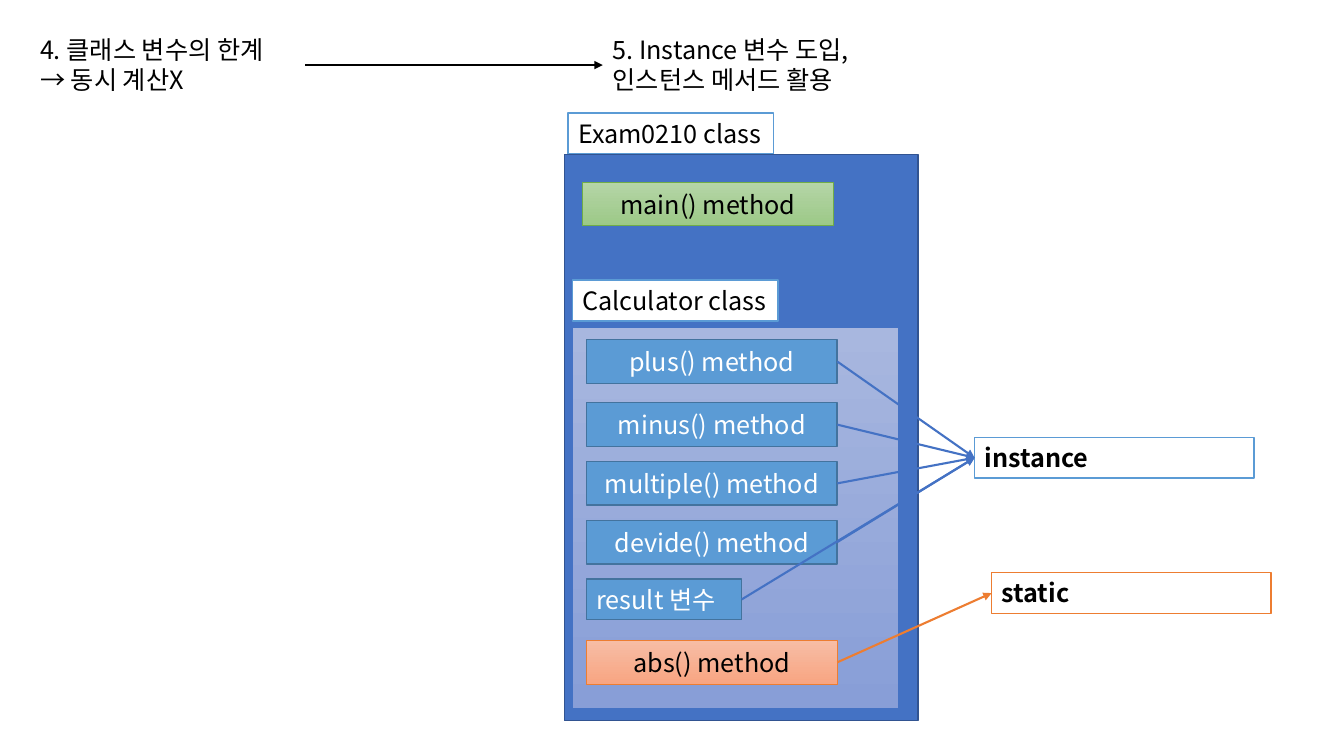
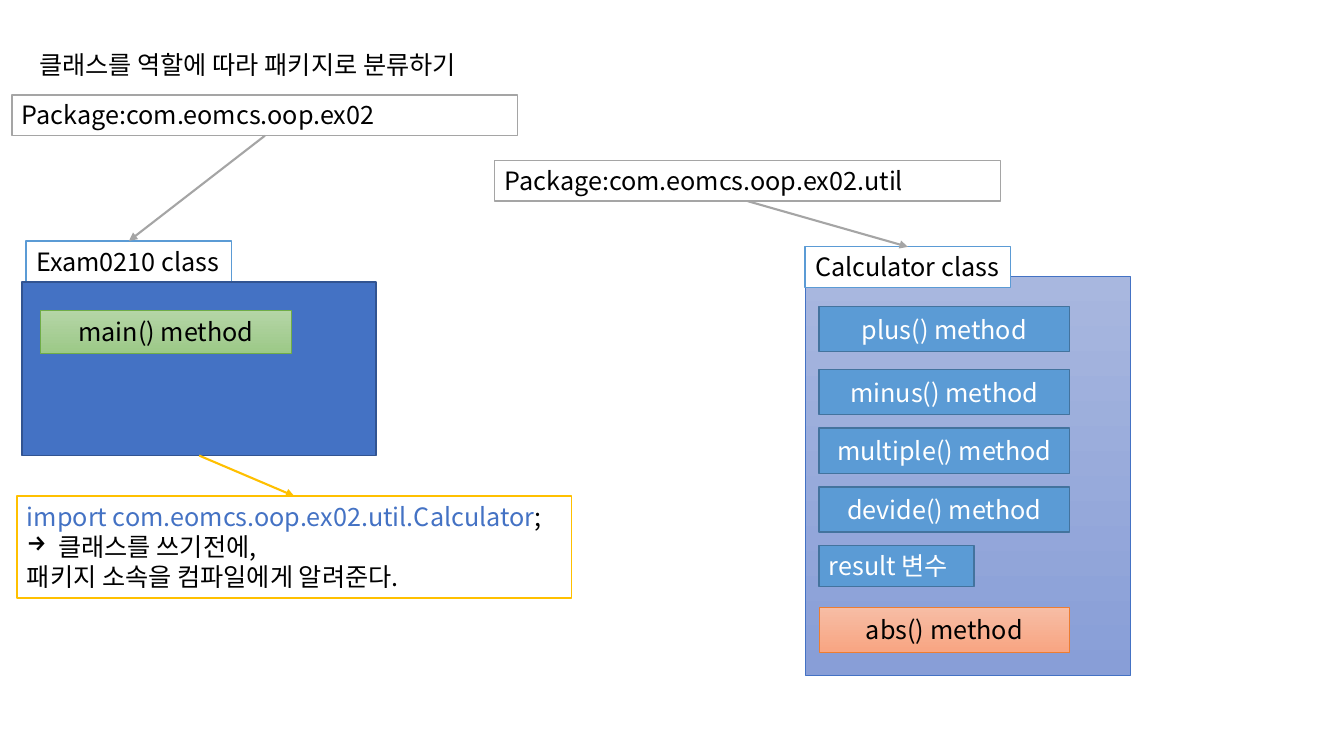
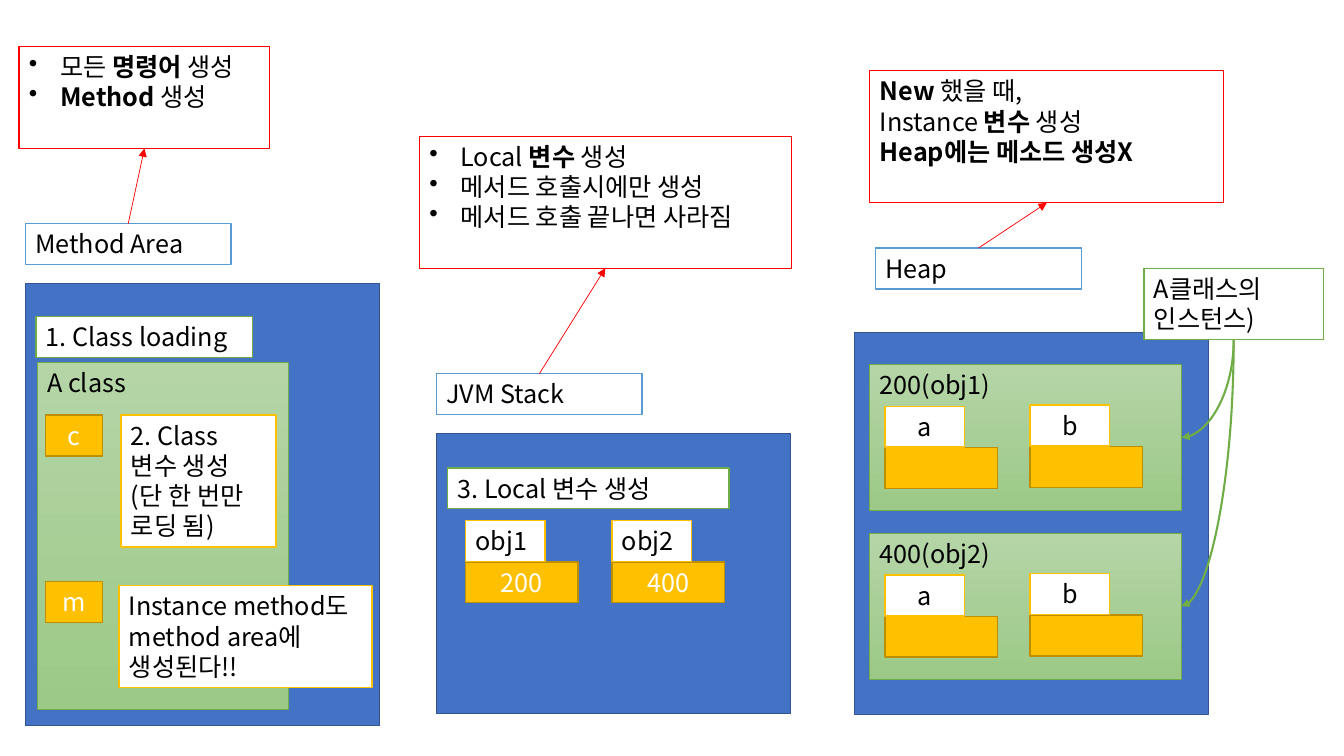
from dataclasses import dataclass, replace
from typing import Optional, Union

from lxml.etree import SubElement
from pptx import Presentation
from pptx.dml.color import RGBColor
from pptx.enum.shapes import MSO_CONNECTOR, MSO_SHAPE
from pptx.enum.text import MSO_ANCHOR, PP_ALIGN
from pptx.oxml.ns import qn
from pptx.shapes.autoshape import Shape
from pptx.shapes.connector import Connector
from pptx.slide import Slide
from pptx.util import Cm, Pt

TOP, LEFT, BOTTOM, RIGHT = range(4)


@dataclass(frozen=True)
class Theme:
    font: str = "Noto Sans CJK KR"
    size: float = 18
    black: str = "000000"
    white: str = "FFFFFF"
    blue: str = "4472C4"
    navy: str = "325491"
    sky: str = "5B9BD5"
    steel: str = "43739E"
    green: str = "70AD47"
    orange: str = "ED7D31"
    gold: str = "FFC000"
    bronze: str = "BD8E00"
    gray: str = "A5A5A5"
    red: str = "FF0000"
    blue_fade: tuple[str, str] = ("A8B7DF", "889ED7")
    green_fade: tuple[str, str] = ("B5D5A7", "9CC987")
    orange_fade: tuple[str, str] = ("F7BDA5", "F8A582")


THEME = Theme()


@dataclass(frozen=True)
class Style:
    fill: Union[str, tuple[str, str], None] = None
    line: Optional[str] = None
    line_width: float = 1
    color: str = THEME.black
    bold: bool = False
    centered: bool = False
    middle: bool = False


@dataclass(frozen=True)
class Box:
    """Left, top, width and height in centimetres."""
    left: float
    top: float
    width: float
    height: float = 1.03


@dataclass(frozen=True)
class Span:
    text: str
    bold: bool = False
    color: Optional[str] = None


@dataclass(frozen=True)
class Line:
    spans: tuple[Span, ...]
    bullet: str = ""


@dataclass(frozen=True)
class Region:
    """A memory area with its label and the note the label points to."""
    body: Box
    label: Box
    name: str
    note: Box
    lines: tuple[Line, ...]


PLAIN = Style()
CLASS_BODY = Style(THEME.blue, THEME.navy)
SKY_TAB = Style(THEME.white, THEME.sky)
GREEN_TAB = replace(SKY_TAB, line=THEME.green)
GOLD_TAB = replace(SKY_TAB, line=THEME.gold)
GRAY_TAB = replace(SKY_TAB, line=THEME.gray)
ORANGE_TAB = replace(SKY_TAB, line=THEME.orange)
RED_NOTE = Style(None, THEME.red, 0.75)
BLUE_PANEL = Style(THEME.blue_fade, THEME.blue, 0.5)
GREEN_PANEL = Style(THEME.green_fade, THEME.green, 0.5)
FIELD = Style(THEME.sky, THEME.steel, color=THEME.white)
METHOD = replace(FIELD, centered=True, middle=True)
MAIN_METHOD = replace(GREEN_PANEL, centered=True, middle=True)
STATIC_METHOD = Style(THEME.orange_fade, THEME.orange, 0.5, centered=True, middle=True)
GOLD_CELL = Style(THEME.gold, THEME.bronze, color=THEME.white, centered=True)

TAB_WIDTH = 5.18
METHOD_WIDTH = 6.32
CLASS_WIDTH = 8.92
INSTANCE_METHODS = (("plus() method", 0), ("minus() method", 1.59),
                    ("multiple() method", 3.07), ("devide() method", 4.55))


def plain_lines(*texts: str) -> tuple[Line, ...]:
    return tuple(Line((Span(text),)) for text in texts)


def write(shape: Shape, lines: tuple[Line, ...], style: Style) -> None:
    frame = shape.text_frame
    frame.word_wrap = True
    frame.vertical_anchor = MSO_ANCHOR.MIDDLE if style.middle else MSO_ANCHOR.TOP
    for index, line in enumerate(lines):
        paragraph = frame.add_paragraph() if index else frame.paragraphs[0]
        paragraph.alignment = PP_ALIGN.CENTER if style.centered else PP_ALIGN.LEFT
        if line.bullet:
            properties = paragraph._p.get_or_add_pPr()
            properties.set("marL", str(Cm(0.79)))
            properties.set("indent", str(-Cm(0.79)))
            SubElement(properties, qn("a:buChar"), char=line.bullet)
        font = paragraph.font
        font.name = THEME.font
        SubElement(font._element, qn("a:ea"), typeface=THEME.font)
        font.size = Pt(THEME.size)
        font.bold = style.bold
        font.color.rgb = RGBColor.from_string(style.color)
        for span in line.spans:
            run = paragraph.add_run()
            run.text = span.text
            if span.bold:
                run.font.bold = True
            if span.color:
                run.font.color.rgb = RGBColor.from_string(span.color)


def paint(shape: Shape, style: Style) -> None:
    shape.shadow.inherit = False
    if isinstance(style.fill, tuple):
        shape.fill.gradient()
        shape.fill.gradient_angle = 270
        for stop, color in zip(shape.fill.gradient_stops, style.fill):
            stop.color.rgb = RGBColor.from_string(color)
    elif style.fill:
        shape.fill.solid()
        shape.fill.fore_color.rgb = RGBColor.from_string(style.fill)
    else:
        shape.fill.background()
    shape.line.color.rgb = RGBColor.from_string(style.line)
    shape.line.width = Pt(style.line_width)


def add_box(slide: Slide, box: Box, style: Style,
            content: Union[str, tuple[Line, ...]] = ()) -> Shape:
    place = (Cm(box.left), Cm(box.top), Cm(box.width), Cm(box.height))
    if style.line:
        shape = slide.shapes.add_shape(MSO_SHAPE.RECTANGLE, *place)
        paint(shape, style)
    else:
        shape = slide.shapes.add_textbox(*place)
    lines = plain_lines(content) if isinstance(content, str) else content
    if lines:
        write(shape, lines, style)
    return shape


def finish_arrow(connector: Connector, color: str, width: float) -> None:
    connector.line.color.rgb = RGBColor.from_string(color)
    connector.line.width = Pt(width)
    SubElement(connector.line._get_or_add_ln(), qn("a:tailEnd"), type="triangle")
    SubElement(connector._element.spPr, qn("a:effectLst"))


def add_arrow(slide: Slide, source: Shape, source_side: int, target: Shape,
              target_side: int, color: str, width: float = 1.5) -> None:
    connector = slide.shapes.add_connector(MSO_CONNECTOR.STRAIGHT, 0, 0, 0, 0)
    connector.begin_connect(source, source_side)
    connector.end_connect(target, target_side)
    finish_arrow(connector, color, width)


def add_curve(slide: Slide, source: Shape, target: Shape, color: str) -> None:
    """Quarter curve from the source's bottom down to the target's right side."""
    start_x, start_y = source.left + source.width // 2, source.top + source.height
    end_x, end_y = target.left + target.width, target.top + target.height // 2
    length, depth = end_y - start_y, start_x - end_x
    left = (start_x + end_x - length) // 2
    top = (start_y + end_y - depth) // 2
    connector = slide.shapes.add_connector(
        MSO_CONNECTOR.CURVE, left, top, left + length, top + depth)
    properties = connector._element.spPr
    properties.find(qn("a:xfrm")).set("rot", "5400000")
    properties.find(qn("a:prstGeom")).set("prst", "curvedConnector2")
    finish_arrow(connector, color, 1.5)


def add_exam_class(slide: Slide, left: float, top: float,
                   height: float) -> tuple[Shape, Shape]:
    """Return the tab and the body of the class."""
    tab = add_box(slide, Box(left + 0.1, top - 1.04, TAB_WIDTH), SKY_TAB, "Exam0210 class")
    body = add_box(slide, Box(left, top, CLASS_WIDTH, height), CLASS_BODY)
    add_box(slide, Box(left + 0.46, top + 0.7, METHOD_WIDTH, 1.1), MAIN_METHOD,
            "main() method")
    return tab, body


def add_calculator(slide: Slide, panel: Box, tab_top: float, first_top: float,
                   method_height: float) -> tuple[Shape, list[Shape], Shape]:
    """Return the tab, the instance members and the static method."""
    add_box(slide, panel, BLUE_PANEL)
    tab = add_box(slide, Box(panel.left, tab_top, TAB_WIDTH), SKY_TAB, "Calculator class")
    left = panel.left + 0.35
    members = [
        add_box(slide, Box(left, first_top + offset, METHOD_WIDTH, method_height),
                METHOD, name)
        for name, offset in INSTANCE_METHODS
    ]
    members.append(add_box(slide, Box(left, first_top + 6.03, 3.91), FIELD, "result 변수"))
    static = add_box(slide, Box(left, first_top + 7.58, METHOD_WIDTH, method_height),
                     STATIC_METHOD, "abs() method")
    return tab, members, static


def add_variable(slide: Slide, left: float, top: float, name: str,
                 value: str = "", centered: bool = False) -> None:
    add_box(slide, Box(left, top + 1.04, 2.84), GOLD_CELL, value if value else ())
    add_box(slide, Box(left, top, 2.01), replace(GOLD_TAB, centered=centered), name)


def build_instance_slide(slide: Slide) -> None:
    limit = add_box(slide, Box(0.76, 0.74, 6.93, 1.8), PLAIN,
                    plain_lines("4. 클래스 변수의 한계", "→ 동시 계산X"))
    adoption = add_box(slide, Box(15.19, 0.74, 6.96, 1.8), PLAIN,
                       plain_lines("5. Instance 변수 도입,", "인스턴스 메서드 활용"))
    add_arrow(slide, limit, RIGHT, adoption, LEFT, THEME.black)
    add_exam_class(slide, 14.22, 3.89, 14.27)
    _, members, static_method = add_calculator(
        slide, Box(14.43, 8.26, 8.2, 9.58), 7.06, 8.56, 1.1)
    instance = add_box(slide, Box(24.56, 11.02, 7.04), replace(SKY_TAB, bold=True), "instance")
    for member in members:
        add_arrow(slide, member, RIGHT, instance, LEFT, THEME.blue)
    static = add_box(slide, Box(24.99, 14.43, 7.04), replace(ORANGE_TAB, bold=True), "static")
    add_arrow(slide, static_method, RIGHT, static, LEFT, THEME.orange)


def build_package_slide(slide: Slide) -> None:
    add_box(slide, Box(0.74, 1.12, 13.67), PLAIN, "클래스를 역할에 따라 패키지로 분류하기")
    exam_tab, exam_body = add_exam_class(slide, 0.56, 7.11, 4.37)
    calculator_tab, _, _ = add_calculator(
        slide, Box(20.29, 6.96, 8.2, 10.06), 6.22, 7.72, 1.14)
    for left, top, name, tab in (
        (0.3, 2.39, "Package:com.eomcs.oop.ex02", exam_tab),
        (12.47, 4.04, "Package:com.eomcs.oop.ex02.util", calculator_tab),
    ):
        package_label = add_box(slide, Box(left, top, 12.75), GRAY_TAB, name)
        add_arrow(slide, package_label, BOTTOM, tab, TOP, THEME.gray)
    import_note = add_box(slide, Box(0.43, 12.5, 13.97, 2.57), GOLD_TAB, (
        Line((Span("import com.eomcs.oop.ex02.util.Calculator", color=THEME.blue), Span(";"))),
        Line((Span("클래스를 쓰기전에,"),), "→"),
        Line((Span("패키지 소속을 컴파일에게 알려준다."),)),
    ))
    add_arrow(slide, exam_body, BOTTOM, import_note, TOP, THEME.gold)


REGIONS = (
    Region(Box(0.64, 7.14, CLASS_WIDTH, 11.15), Box(0.64, 5.64, TAB_WIDTH), "Method Area",
           Box(0.48, 1.17, 6.32, 2.57), (
               Line((Span("모든 "), Span("명령어", True), Span(" 생성")), "•"),
               Line((Span("Method ", True), Span("생성")), "•"))),
    Region(Box(11, 10.92, CLASS_WIDTH, 7.06), Box(11, 9.42, TAB_WIDTH), "JVM Stack",
           Box(10.57, 3.43, 9.37, 3.33), (
               Line((Span("Local "), Span("변수", True), Span(" 생성")), "•"),
               Line((Span("메서드 호출시에만 생성"),), "•"),
               Line((Span("메서드 호출 끝나면 사라짐"),), "•"))),
    Region(Box(21.54, 8.38, CLASS_WIDTH, 9.63), Box(22.07, 6.25, TAB_WIDTH), "Heap",
           Box(21.92, 1.78, CLASS_WIDTH, 3.33), (
               Line((Span("New ", True), Span("했을 때,"))),
               Line((Span("Instance "), Span("변수", True), Span(" 생성"))),
               Line((Span("Heap에는 메소드 생성X", True),)))),
)


def build_memory_slide(slide: Slide) -> None:
    for region in REGIONS:
        add_box(slide, region.body, CLASS_BODY)
        label = add_box(slide, region.label, SKY_TAB, region.name)
        note = add_box(slide, region.note, RED_NOTE, region.lines)
        add_arrow(slide, label, TOP, note, BOTTOM, THEME.red, 0.5)

    add_box(slide, Box(0.91, 7.98, 5.46), GREEN_TAB, "1. Class loading")
    add_box(slide, Box(0.94, 9.12, 6.32, 8.76), GREEN_PANEL, "A class")
    for top, name in ((10.46, "c"), (14.66, "m")):
        add_box(slide, Box(1.14, top, 1.45), GOLD_CELL, name)
    add_box(slide, Box(3.05, 10.46, 3.91, 3.33), GOLD_TAB,
            plain_lines("2. Class", "변수 생성", "(단 한 번만 로딩 됨)"))
    add_box(slide, Box(3, 14.76, 6.38, 2.57), GOLD_TAB,
            plain_lines("Instance method도 method area에", "생성된다!!"))

    add_box(slide, Box(11.28, 11.79, 7.09), GREEN_TAB, "3. Local 변수 생성")
    add_variable(slide, 11.73, 13.12, "obj1", "200")
    add_variable(slide, 15.42, 13.12, "obj2", "400")

    instances = []
    for top, name in ((9.19, "200(obj1)"), (13.44, "400(obj2)")):
        instances.append(add_box(slide, Box(21.92, top, 7.85, 3.68), GREEN_PANEL, name))
        add_variable(slide, 22.3, top + 1.05, "a", centered=True)
        add_variable(slide, 25.96, top + 1.02, "b", centered=True)
    instance_label = add_box(slide, Box(28.83, 6.76, 4.52, 1.8), GREEN_TAB,
                             plain_lines("A클래스의", "인스턴스)"))
    for instance in instances:
        add_curve(slide, instance_label, instance, THEME.green)


def main() -> None:
    presentation = Presentation()
    presentation.slide_width = Cm(33.87)
    presentation.slide_height = Cm(19.05)
    blank = presentation.slide_layouts[6]
    for build in (build_instance_slide, build_package_slide, build_memory_slide):
        build(presentation.slides.add_slide(blank))
    presentation.save("out.pptx")


if __name__ == "__main__":
    main()
